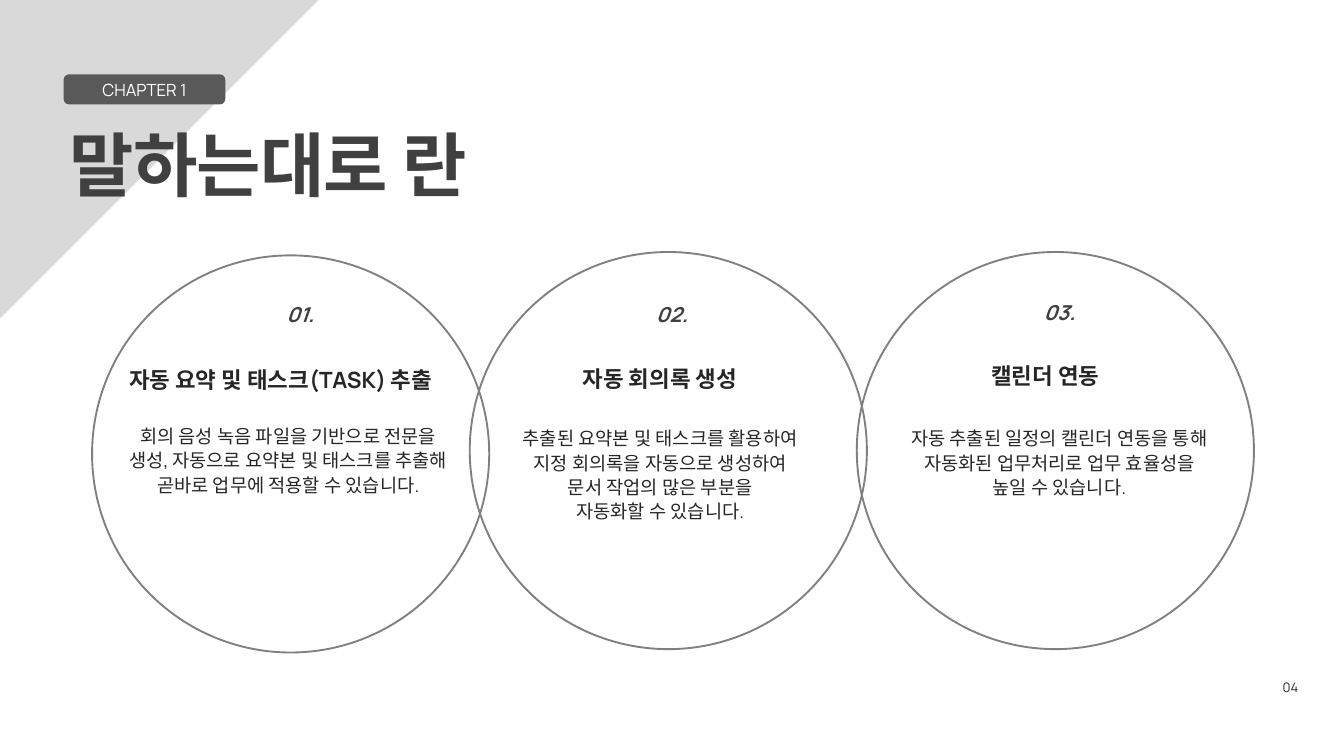
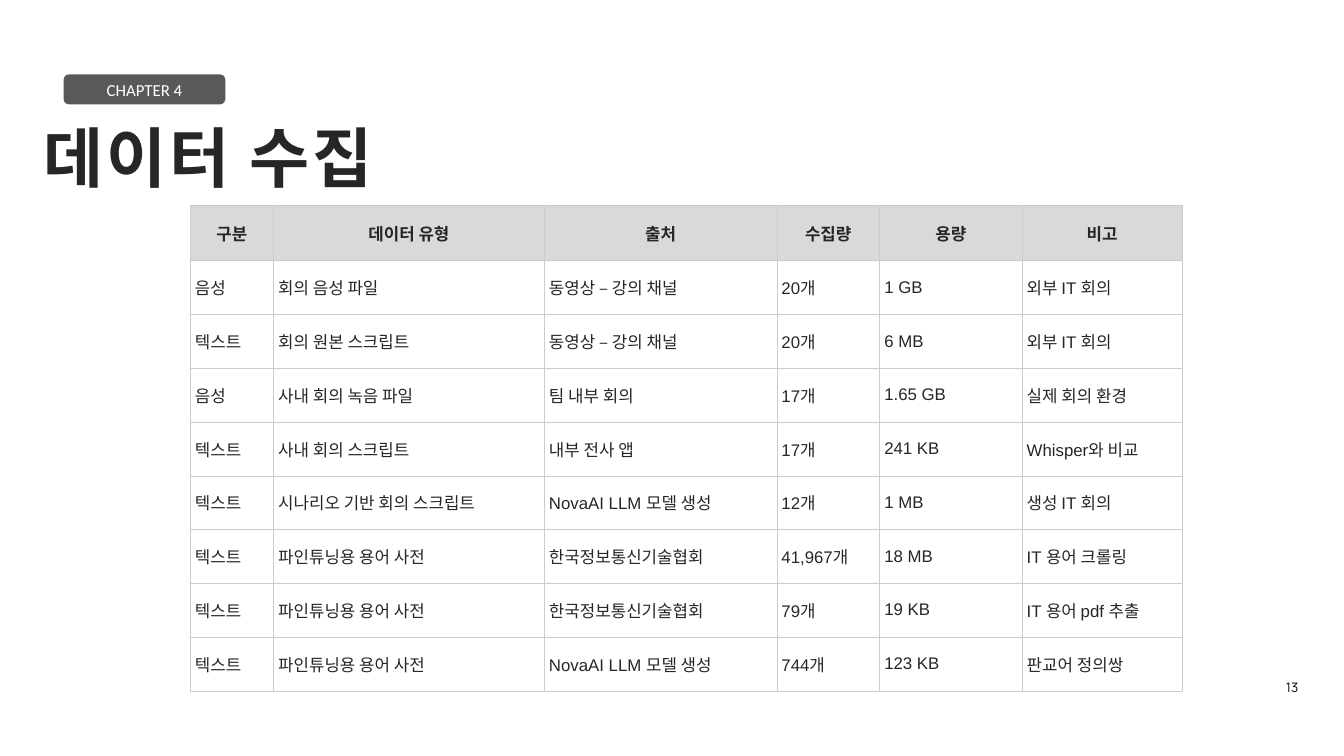
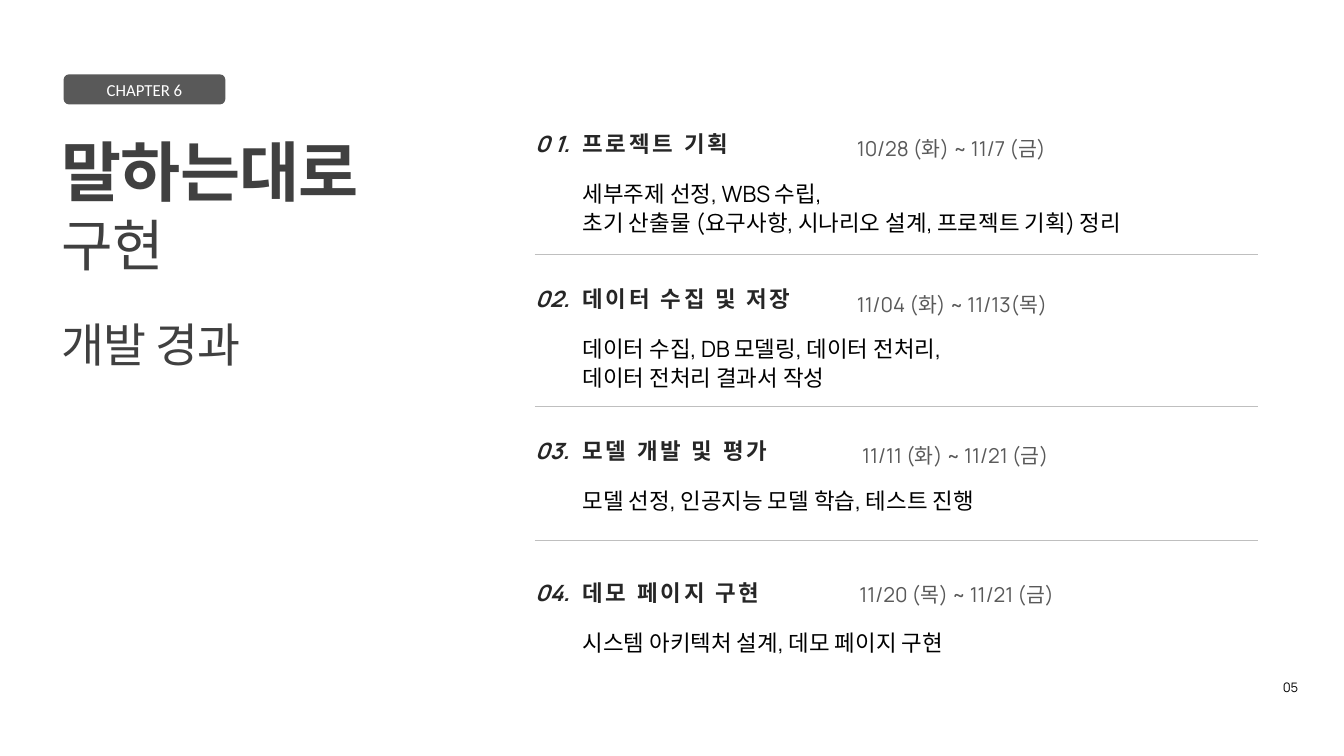
from dataclasses import dataclass, replace
from typing import NamedTuple

from lxml import etree
from pptx import Presentation
from pptx.dml.color import RGBColor
from pptx.enum.shapes import MSO_CONNECTOR, MSO_SHAPE
from pptx.enum.text import MSO_ANCHOR, PP_ALIGN
from pptx.oxml.ns import qn
from pptx.util import Inches, Pt

LEFT, CENTER, RIGHT = PP_ALIGN.LEFT, PP_ALIGN.CENTER, PP_ALIGN.RIGHT
TOP, MIDDLE, BOTTOM = MSO_ANCHOR.TOP, MSO_ANCHOR.MIDDLE, MSO_ANCHOR.BOTTOM
TRIANGLE, OVAL = MSO_SHAPE.RIGHT_TRIANGLE, MSO_SHAPE.OVAL
ROUNDED = MSO_SHAPE.ROUNDED_RECTANGLE
STRAIGHT = MSO_CONNECTOR.STRAIGHT

WHITE = RGBColor(0xFF, 0xFF, 0xFF)
BLACK = RGBColor(0, 0, 0)
INK = RGBColor(0x26, 0x26, 0x26)
CHARCOAL = RGBColor(0x40, 0x40, 0x40)
SLATE = RGBColor(0x59, 0x59, 0x59)
GREY = RGBColor(0x80, 0x80, 0x80)
RULE = RGBColor(0xBF, 0xBF, 0xBF)
BORDER = RGBColor(0xCC, 0xCC, 0xCC)
PALE = RGBColor(0xD9, 0xD9, 0xD9)

MANROPE, CALIBRI, ARIAL = "Manrope", "Calibri", "Arial"


class Box(NamedTuple):
    left: float
    top: float
    width: float
    height: float


@dataclass(frozen=True)
class Style:
    size: float
    color: RGBColor = INK
    bold: bool = False
    italic: bool = False
    font: str = MANROPE
    align: PP_ALIGN = LEFT
    leading: float = 1.0
    tracking: float = 0
    anchor: MSO_ANCHOR = TOP
    before: float = 0


@dataclass(frozen=True)
class Feature:
    circle_left: float
    circle_top: float
    number: str
    number_at: tuple[float, float]
    heading: str
    heading_box: Box
    lines: list[str]
    body_box: Box


@dataclass(frozen=True)
class Phase:
    top: float
    number: str
    heading: str
    dates: str
    dates_at: tuple[float, float]
    lines: list[str]
    body_size: tuple[float, float]


TITLE = Style(70, CHARCOAL, bold=True, tracking=-1)
SUBTITLE = Style(60, CHARCOAL, tracking=-1)
PAGE = Style(14, BLACK, align=RIGHT, leading=1.16, anchor=BOTTOM)
CHAPTER = Style(18, WHITE, font=CALIBRI, align=CENTER)
CIRCLE_NUMBER = Style(22, CHARCOAL, bold=True, italic=True)
CIRCLE_HEADING = Style(24, bold=True, leading=1.08)
CIRCLE_BODY = Style(20, align=CENTER, leading=1.08)
PHASE_NUMBER = Style(24, bold=True, italic=True)
PHASE_HEADING = Style(24, bold=True, tracking=3)
PHASE_DATES = Style(22, SLATE, leading=1.08)
PHASE_BODY = Style(24, BLACK, leading=1.08)
CELL = Style(18, font=ARIAL)
HEADER_CELL = replace(CELL, bold=True, align=CENTER)

CIRCLE = 5.91
PHASE_LEFT, PHASE_TEXT_LEFT, PHASE_RIGHT = 7.96, 8.67, 18.72
PHASE_RULES = [3.79, 6.04, 8.04]

FEATURES = [
    Feature(1.37, 3.8, "01.", (4.26, 4.49),
            "자동 요약 및 태스크(TASK) 추출", Box(1.92, 5.42, 5.5, 0.43),
            ["회의 음성 녹음 파일을 기반으로 전문을",
             "생성, 자동으로 요약본 및 태스크를 추출해",
             "곧바로 업무에 적용할 수 있습니다."], Box(1.59, 6.3, 5.4, 1.81)),
    Feature(6.99, 3.75, "02.", (9.76, 4.49),
            "자동 회의록 생성", Box(8.67, 5.4, 3.28, 0.44),
            ["추출된 요약본 및 태스크를 활용하여",
             "지정 회의록을 자동으로 생성하여",
             "문서 작업의 많은 부분을",
             "자동화할 수 있습니다."], Box(7.49, 6.33, 4.67, 1.81)),
    Feature(12.75, 3.75, "03.", (15.53, 4.46),
            "캘린더 연동", Box(14.75, 5.35, 1.86, 0.4),
            ["자동 추출된 일정의 캘린더 연동을 통해",
             "자동화된 업무처리로 업무 효율성을",
             "높일 수 있습니다."], Box(13.35, 6.33, 4.83, 1.81)),
]

PHASES = [
    Phase(1.94, "0 1.", "프로젝트 기획", "10/28 (화) ~ 11/7 (금)", (12.75, 1.99),
          ["세부주제 선정, WBS 수립,",
           "초기 산출물 (요구사항, 시나리오 설계, 프로젝트 기획) 정리"],
          (10.71, 0.99)),
    Phase(4.24, "02.", "데이터 수집 및 저장", "11/04 (화) ~ 11/13(목)", (12.75, 4.32),
          ["데이터 수집, DB 모델링, 데이터 전처리,", "데이터 전처리 결과서 작성"],
          (9.58, 0.89)),
    Phase(6.51, "03.", "모델 개발 및 평가", "11/11 (화) ~ 11/21 (금)", (12.83, 6.56),
          ["모델 선정, 인공지능 모델 학습, 테스트 진행"], (9.25, 0.38)),
    Phase(8.62, "04.", "데모 페이지 구현", "11/20 (목) ~ 11/21 (금)", (12.79, 8.63),
          ["시스템 아키텍처 설계, 데모 페이지 구현"], (5.92, 0.38)),
]

COLUMN_WIDTHS = [1.24, 4.03, 3.46, 1.53, 2.12, 2.38]
HEADER_HEIGHT, ROW_HEIGHT = 0.82, 0.8
DATASETS = [
    ["구분", "데이터 유형", "출처", "수집량", "용량", "비고"],
    ["음성", "회의 음성 파일", "동영상 – 강의 채널", "20개", "1 GB", "외부 IT 회의"],
    ["텍스트", "회의 원본 스크립트", "동영상 – 강의 채널", "20개", "6 MB", "외부 IT 회의"],
    ["음성", "사내 회의 녹음 파일", "팀 내부 회의", "17개", "1.65 GB", "실제 회의 환경"],
    ["텍스트", "사내 회의 스크립트", "내부 전사 앱", "17개", "241 KB", "Whisper와 비교"],
    ["텍스트", "시나리오 기반 회의 스크립트", "NovaAI LLM 모델 생성", "12개", "1 MB",
     "생성 IT 회의"],
    ["텍스트", "파인튜닝용 용어 사전", "한국정보통신기술협회", "41,967개", "18 MB",
     "IT 용어 크롤링"],
    ["텍스트", "파인튜닝용 용어 사전", "한국정보통신기술협회", "79개", "19 KB",
     "IT 용어 pdf 추출"],
    ["텍스트", "파인튜닝용 용어 사전", "NovaAI LLM 모델 생성", "744개", "123 KB",
     "판교어 정의쌍"],
]


def inches(box: Box) -> list[Inches]:
    return [Inches(v) for v in box]


def write_paragraph(p, text: str, style: Style) -> None:
    r = p.add_run()
    r.text = text
    if style.tracking:
        r._r.get_or_add_rPr().set("spc", str(int(style.tracking * 100)))
    p.alignment = style.align
    p.line_spacing = style.leading
    if style.before:
        p.space_before = Pt(style.before)
    p.font.size = Pt(style.size)
    p.font.name = style.font
    p.font.bold = style.bold
    p.font.italic = style.italic
    p.font.color.rgb = style.color


def add_text(slide, box: Box, *lines: tuple[str, Style]) -> None:
    tf = slide.shapes.add_textbox(*inches(box)).text_frame
    tf.word_wrap = True
    tf.margin_left = tf.margin_right = tf.margin_top = tf.margin_bottom = 0
    tf.vertical_anchor = lines[0][1].anchor
    for i, (text, style) in enumerate(lines):
        p = tf.add_paragraph() if i else tf.paragraphs[0]
        write_paragraph(p, text, style)


def add_outlined(slide, kind: MSO_SHAPE, box: Box, line: RGBColor,
                 fill: RGBColor | None = None):
    sp = slide.shapes.add_shape(kind, *inches(box))
    sp.shadow.inherit = False
    if fill is None:
        sp.fill.background()
    else:
        sp.fill.solid()
        sp.fill.fore_color.rgb = fill
    sp.line.color.rgb = line
    sp.line.width = Pt(2)
    return sp


def add_rule(slide, top: float) -> None:
    cn = slide.shapes.add_connector(STRAIGHT, Inches(PHASE_LEFT), Inches(top),
                                    Inches(PHASE_RIGHT), Inches(top))
    cn.line.color.rgb = RULE
    cn.line.width = Pt(0.75)
    etree.SubElement(cn._element.spPr, qn("a:effectLst"))


def add_frame(slide, chapter: str, page: str, chapter_style: Style = CHAPTER,
              page_style: Style = PAGE) -> None:
    sp = add_outlined(slide, ROUNDED, Box(0.96, 1.12, 2.38, 0.42), SLATE, SLATE)
    sp.text_frame.vertical_anchor = MIDDLE
    write_paragraph(sp.text_frame.paragraphs[0], chapter, chapter_style)
    add_text(slide, Box(18.72, 10.06, 0.6, 0.28), (page, page_style))


def border_cell(cell) -> None:
    tc_pr = cell._tc.get_or_add_tcPr()
    for side in ("a:lnL", "a:lnR", "a:lnT", "a:lnB"):
        ln = etree.SubElement(tc_pr, qn(side), w=str(Pt(0.5)))
        fill = etree.SubElement(ln, qn("a:solidFill"))
        etree.SubElement(fill, qn("a:srgbClr"), val=str(BORDER))


def add_dataset_table(slide) -> None:
    heights = [HEADER_HEIGHT] + [ROW_HEIGHT] * (len(DATASETS) - 1)
    box = Box(2.83, 3.06, sum(COLUMN_WIDTHS), sum(heights))
    table = slide.shapes.add_table(len(heights), len(COLUMN_WIDTHS), *inches(box)).table
    table.first_row = table.horz_banding = False
    for column, width in zip(table.columns, COLUMN_WIDTHS):
        column.width = Inches(width)
    for i, (row, height, values) in enumerate(zip(table.rows, heights, DATASETS)):
        row.height = Inches(height)
        for cell, value in zip(row.cells, values):
            cell.margin_left = cell.margin_right = Inches(0.07)
            cell.margin_top = cell.margin_bottom = Inches(0.07)
            cell.vertical_anchor = MIDDLE
            border_cell(cell)
            if i:
                cell.fill.background()
            else:
                cell.fill.solid()
                cell.fill.fore_color.rgb = PALE
            write_paragraph(cell.text_frame.paragraphs[0], value,
                            CELL if i else HEADER_CELL)


def build_overview(slide) -> None:
    corner = add_outlined(slide, TRIANGLE, Box(0, 0, 4.72, 4.72), PALE, PALE)
    corner.rotation = 90
    add_frame(slide, "CHAPTER 1", "04", replace(CHAPTER, font=MANROPE),
              replace(PAGE, color=INK))
    add_text(slide, Box(1.04, 1.81, 9.26, 1.53),
             ("말하는대로 란", replace(TITLE, size=75)))
    for f in FEATURES:
        add_outlined(slide, OVAL, Box(f.circle_left, f.circle_top, CIRCLE, CIRCLE), GREY)
        add_text(slide, Box(*f.number_at, 0.58, 0.43), (f.number, CIRCLE_NUMBER))
        add_text(slide, f.heading_box, (f.heading, CIRCLE_HEADING))
        add_text(slide, f.body_box, *((line, CIRCLE_BODY) for line in f.lines))


def build_data(slide) -> None:
    add_frame(slide, "CHAPTER 4", "13")
    add_text(slide, Box(0.65, 1.75, 6.31, 3.18),
             ("데이터 수집", replace(TITLE, color=INK, tracking=3)))
    add_dataset_table(slide)


def build_progress(slide) -> None:
    add_frame(slide, "CHAPTER 6", "05")
    add_text(slide, Box(0.92, 1.96, 5.18, 2.26),
             ("말하는대로", TITLE), ("구현", SUBTITLE),
             ("개발 경과", replace(SUBTITLE, size=50, before=41)))
    for ph in PHASES:
        add_text(slide, Box(PHASE_LEFT, ph.top, 0.58, 0.43), (ph.number, PHASE_NUMBER))
        add_text(slide, Box(PHASE_TEXT_LEFT, ph.top, 3.67, 0.43),
                 (ph.heading, PHASE_HEADING))
        add_text(slide, Box(*ph.dates_at, 4.04, 0.42), (ph.dates, PHASE_DATES))
        add_text(slide, Box(PHASE_TEXT_LEFT, ph.top + 0.71, *ph.body_size),
                 *((line, PHASE_BODY) for line in ph.lines))
    for top in PHASE_RULES:
        add_rule(slide, top)


def main() -> None:
    prs = Presentation()
    prs.slide_width, prs.slide_height = Inches(20), Inches(11.25)
    for build in (build_overview, build_data, build_progress):
        build(prs.slides.add_slide(prs.slide_layouts[6]))
    prs.save("out.pptx")


if __name__ == "__main__":
    main()
